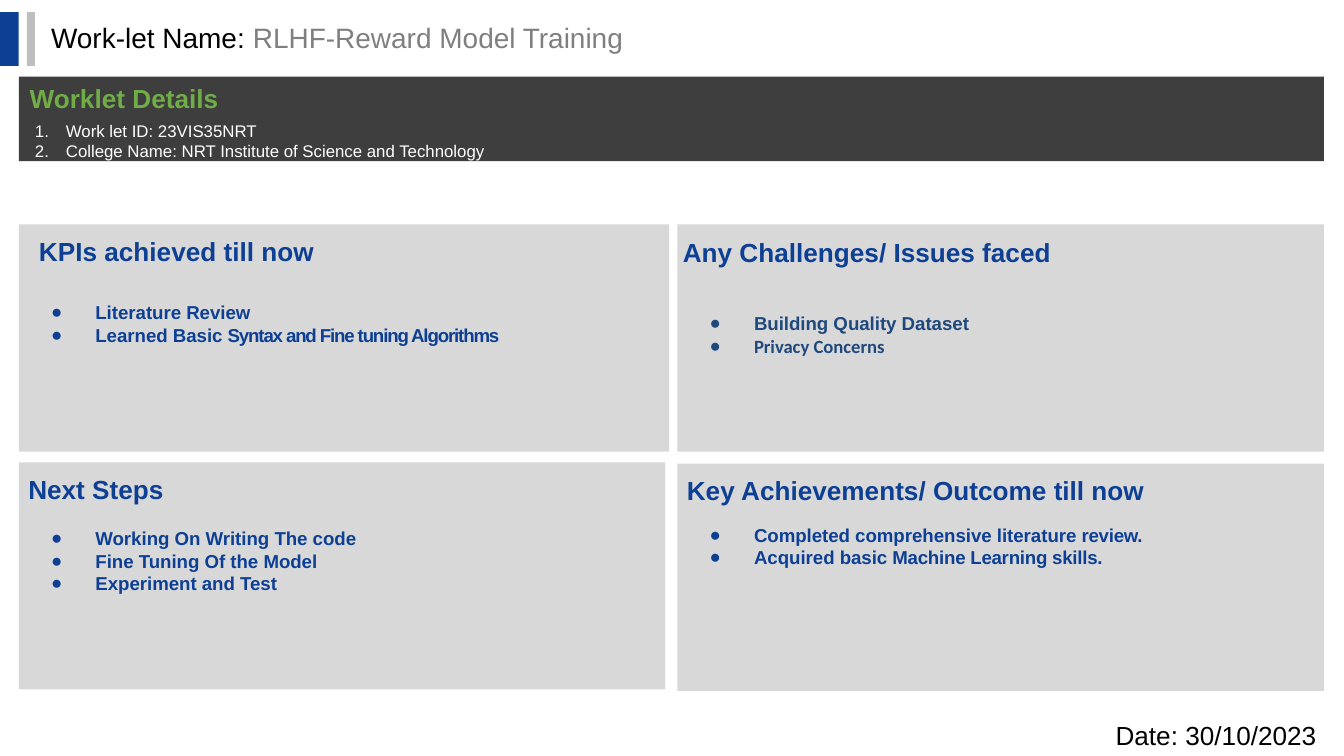
"""Build the work-let status slide."""
from dataclasses import dataclass

from lxml import etree
from pptx import Presentation
from pptx.dml.color import RGBColor
from pptx.enum import shapes, text
from pptx.oxml import ns
from pptx.util import Inches, Pt


@dataclass(frozen=True)
class Theme:
    blue: str = "0D4094"
    navy: str = "1F497D"
    green: str = "70AD47"
    dark: str = "3E3E3E"
    pale: str = "D8D8D8"
    silver: str = "BEBEBE"
    gray: str = "7F7F7F"
    black: str = "000000"
    white: str = "FFFFFF"
    font: str = "Arial"
    title: float = 15
    head: float = 14
    body: float = 10
    small: float = 9


T = Theme()


@dataclass(frozen=True)
class Box:
    left: float
    top: float
    width: float
    height: float


@dataclass(frozen=True)
class Line:
    text: str
    size: float = T.body
    color: str = T.blue
    bold: bool = True
    font: str = T.font
    left: float = 0.57
    hang: float = 0.33
    before: float = 0
    mark: str = "●"
    tail: str = ""
    tint: str = ""
    track: float = 0


@dataclass(frozen=True)
class Panel:
    box: Box
    fill: str
    inset: float
    lines: tuple[Line, ...]


def head(words: str, left: float, before: float, color: str = T.blue) -> Line:
    """Return a panel heading."""
    return Line(words, T.head, color, left=left, hang=0, before=before, mark="")


def plain(words: str, size: float, tail: str = "", tint: str = "") -> Line:
    """Return a black line without a bullet."""
    return Line(words, size, T.black, False, left=0.01, hang=0, before=1,
                mark="", tail=tail, tint=tint)


def item(words: str, before: float = 0) -> Line:
    """Return a small numbered line."""
    return Line(words, T.small, T.white, False, left=0.35, hang=0.23,
                before=before, mark="1.")


def style(run, line: Line, color: str) -> None:
    """Format one run."""
    font = run.font
    font.name, font.size, font.bold = line.font, Pt(line.size), line.bold
    font.color.rgb = RGBColor.from_string(color)


def write(para, line: Line) -> None:
    """Fill one paragraph from its line."""
    para.text = line.text
    para.alignment = text.PP_ALIGN.LEFT
    para.space_before = Pt(line.before)
    style(para.runs[0], line, line.color)
    if line.tail:
        run = para.add_run()
        run.text = line.tail
        style(run, line, line.tint or line.color)
        if line.track:
            run._r.get_or_add_rPr().set("spc", str(round(line.track * 100)))
    props = para._p.get_or_add_pPr()
    props.set("marL", str(Inches(line.left)))
    props.set("indent", str(-Inches(line.hang)))
    if line.mark == "1.":
        etree.SubElement(props, ns.qn("a:buAutoNum"), type="arabicPeriod")
    elif line.mark:
        etree.SubElement(props, ns.qn("a:buFont"), typeface=T.font)
        etree.SubElement(props, ns.qn("a:buChar"), char=line.mark)


def fill(frame, lines: tuple[Line, ...], inset: float) -> None:
    """Lay lines out in a text frame."""
    frame.word_wrap = True
    frame.vertical_anchor = text.MSO_ANCHOR.TOP
    frame.margin_left = frame.margin_right = frame.margin_bottom = 0
    frame.margin_top = Inches(inset)
    for spot, line in enumerate(lines):
        write(frame.add_paragraph() if spot else frame.paragraphs[0], line)


def span(box: Box) -> tuple[int, ...]:
    """Return the box as lengths."""
    return tuple(Inches(n) for n in (box.left, box.top, box.width, box.height))


def block(slide, box: Box, color: str):
    """Draw a plain filled rectangle."""
    shape = slide.shapes.add_shape(shapes.MSO_SHAPE.RECTANGLE, *span(box))
    shape.shadow.inherit = False
    shape.fill.solid()
    shape.fill.fore_color.rgb = RGBColor.from_string(color)
    shape.line.fill.background()
    return shape


def label(slide, box: Box, line: Line, inset: float) -> None:
    """Draw a single line of free text."""
    fill(slide.shapes.add_textbox(*span(box)).text_frame, (line,), inset)


BARS = ((Box(0, 0.09, 0.14, 0.4), T.blue), (Box(0.2, 0.09, 0.06, 0.4), T.silver))

PANELS = (
    Panel(Box(0.14, 0.57, 9.71, 0.63), T.dark, 0.04, (
        head("Worklet Details", 0.08, 2.6, T.green),
        item("Work let ID: 23VIS35NRT", 3.8),
        item("College Name: NRT Institute of Science and Technology"))),
    Panel(Box(0.14, 3.44, 4.81, 1.69), T.pale, 0.08, (
        head("Next Steps", 0.07, 5.7),
        Line("Working On Writing The code", before=12.2),
        Line("Fine Tuning Of the Model"),
        Line("Experiment and Test"))),
    Panel(Box(0.14, 1.67, 4.84, 1.69), T.pale, 0.08, (
        head("KPIs achieved till now", 0.15, 6),
        Line("Literature Review", before=18.6),
        Line("Learned Basic ", tail="Syntax and Fine tuning Algorithms",
             track=-0.6))),
    Panel(Box(5.04, 3.45, 4.81, 1.69), T.pale, 0.08, (
        head("Key Achievements/ Outcome till now", 0.07, 5.9),
        Line("Completed comprehensive literature ", before=9.6,
             tail="review.", track=-0.1),
        Line("Acquired basic ", tail="Machine Learning skills.", track=-0.1))),
    Panel(Box(5.04, 1.67, 4.81, 1.69), T.pale, 0.09, (
        head("Any Challenges/ Issues faced", 0.04, 6.3),
        Line("Building Quality Dataset", color=T.navy, before=23.7),
        Line("Privacy Concerns", color=T.navy, font="Calibri"))),
)


def main() -> None:
    """Build and save the deck."""
    deck = Presentation()
    deck.slide_width = Inches(10)
    deck.slide_height = deck.slide_width * 9 // 16
    slide = deck.slides.add_slide(deck.slide_layouts[6])
    for box, color in BARS:
        block(slide, box, color)
    label(slide, Box(0.37, 0.06, 7.49, 0.35),
          plain("Work-let Name: ", T.title, "RLHF-Reward Model Training", T.gray),
          0.09)
    for panel in PANELS:
        shape = block(slide, panel.box, panel.fill)
        fill(shape.text_frame, panel.lines, panel.inset)
    label(slide, Box(8.29, 5.34, 1.52, 0.25),
          plain("Date: 30/10/2023", T.head), 0.01)
    deck.save("out.pptx")


if __name__ == "__main__":
    main()
